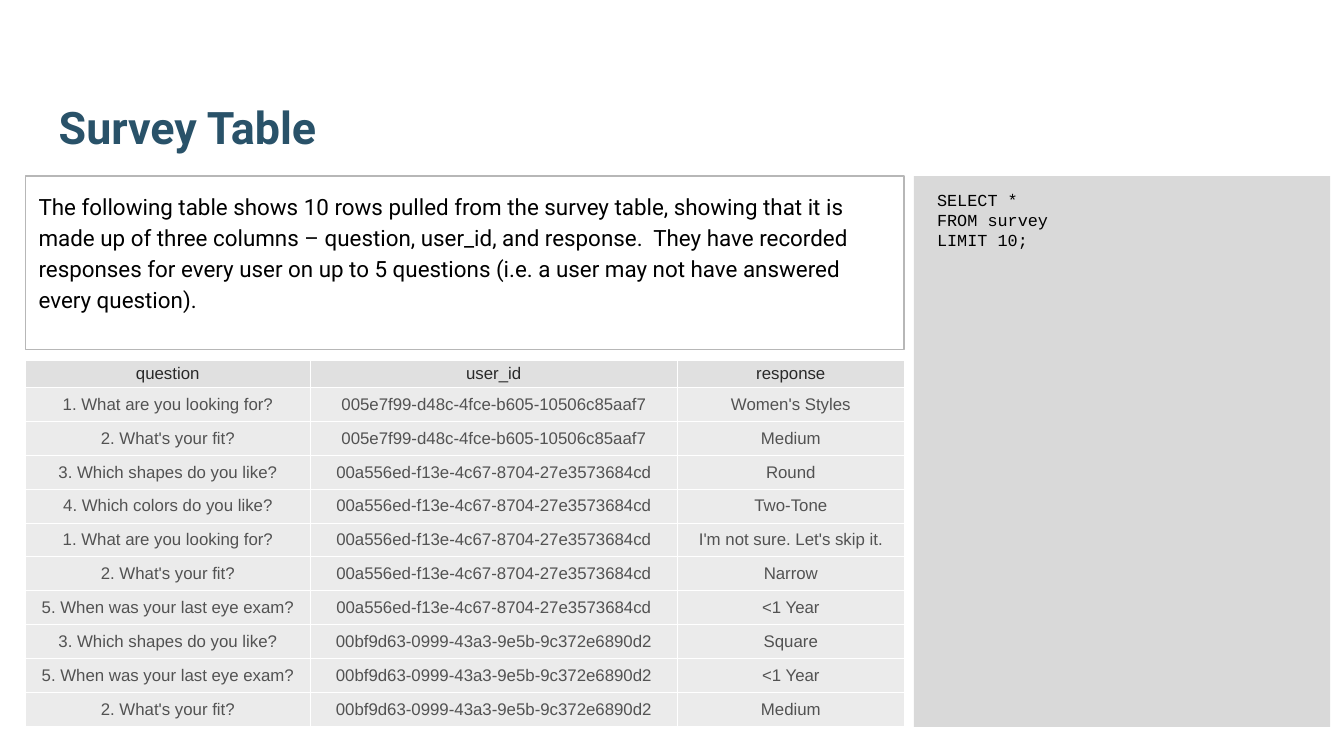
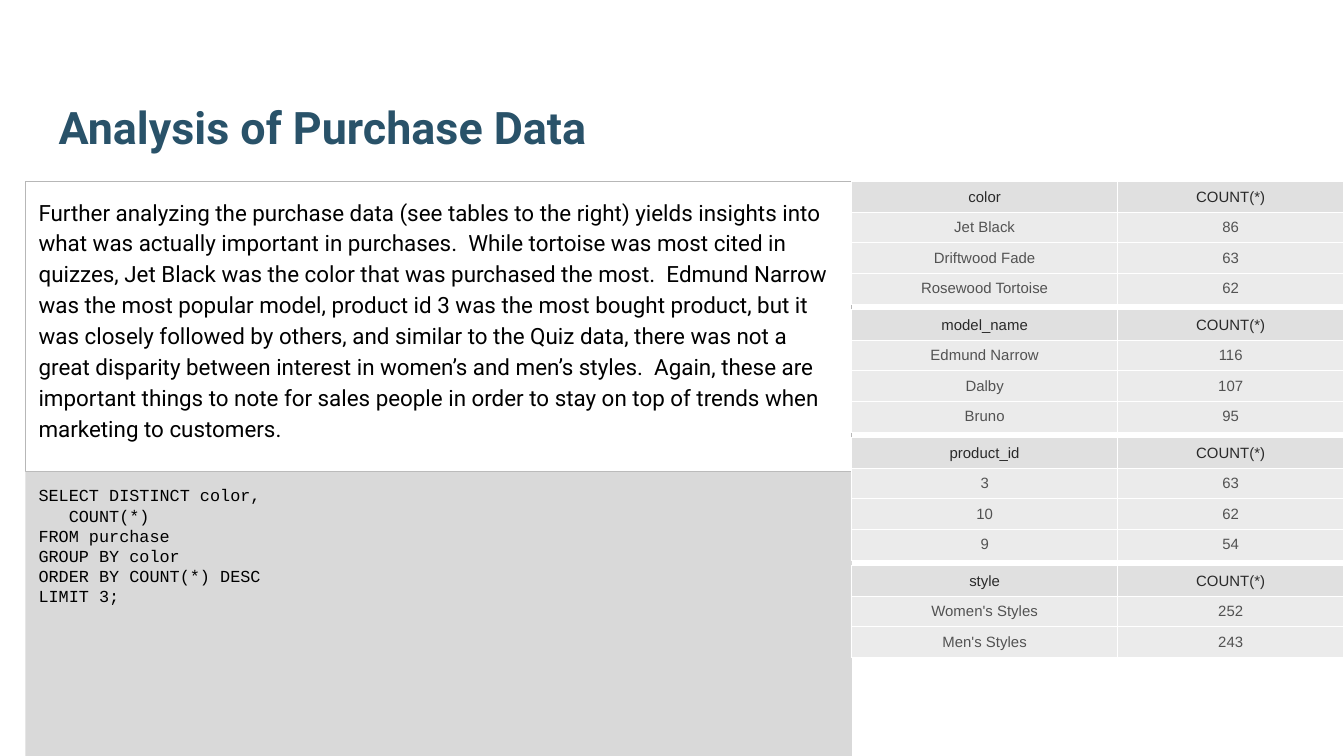
from lxml.etree import SubElement
from pptx import Presentation
from pptx.dml.color import RGBColor
from pptx.enum.shapes import MSO_SHAPE
from pptx.enum.text import MSO_ANCHOR, MSO_AUTO_SIZE, PP_ALIGN
from pptx.oxml.ns import qn
from pptx.util import Cm, Pt

NAVY = RGBColor(0x29, 0x52, 0x69)
BLACK = RGBColor(0, 0, 0)
WHITE = RGBColor(0xFF, 0xFF, 0xFF)
PANEL = RGBColor(0xD9, 0xD9, 0xD9)
EDGE = RGBColor(0xB7, 0xB7, 0xB7)
HEAD = RGBColor(0xE0, 0xE0, 0xE0)
BODY = RGBColor(0xEB, 0xEB, 0xEB)
DARK = RGBColor(0x29, 0x29, 0x29)
GREY = RGBColor(0x52, 0x52, 0x52)

PAD = 0.25
LEFT = 0.48

SURVEY_TEXT = (
    "The following table shows 10 rows pulled from the survey table, showing that it is "
    "made up of three columns – question, user_id, and response.  They have recorded "
    "responses for every user on up to 5 questions (i.e. a user may not have answered "
    "every question)."
)
SURVEY_CODE = " SELECT *\n FROM survey\n LIMIT 10;"
FIT = "2. What's your fit?"
LOOK = "1. What are you looking for?"
SHAPE = "3. Which shapes do you like?"
EXAM = "5. When was your last eye exam?"
USER_A = "005e7f99-d48c-4fce-b605-10506c85aaf7"
USER_B = "00a556ed-f13e-4c67-8704-27e3573684cd"
USER_C = "00bf9d63-0999-43a3-9e5b-9c372e6890d2"
SURVEY_ROWS = [
    ("question", "user_id", "response"),
    (LOOK, USER_A, "Women's Styles"),
    (FIT, USER_A, "Medium"),
    (SHAPE, USER_B, "Round"),
    ("4. Which colors do you like?", USER_B, "Two-Tone"),
    (LOOK, USER_B, "I'm not sure. Let's skip it."),
    (FIT, USER_B, "Narrow"),
    (EXAM, USER_B, "<1 Year"),
    (SHAPE, USER_C, "Square"),
    (EXAM, USER_C, "<1 Year"),
    (FIT, USER_C, "Medium"),
]

BUY_TEXT = (
    "Further analyzing the purchase data (see tables to the right) yields insights into "
    "what was actually important in purchases.  While tortoise was most cited in quizzes, "
    "Jet Black was the color that was purchased the most.  Edmund Narrow was the most "
    "popular model, product id 3 was the most bought product, but it was closely followed "
    "by others, and similar to the Quiz data, there was not a great disparity between "
    "interest in women’s and men’s styles.  Again, these are important things to note for "
    "sales people in order to stay on top of trends when marketing to customers."
)
BUY_CODE = """SELECT DISTINCT color,
   COUNT(*)
FROM purchase
GROUP BY color
ORDER BY COUNT(*) DESC
LIMIT 3;"""
COUNTS = [
    ("color", [("Jet Black", 86), ("Driftwood Fade", 63), ("Rosewood Tortoise", 62)]),
    ("model_name", [("Edmund Narrow", 116), ("Dalby", 107), ("Bruno", 95)]),
    ("product_id", [(3, 63), (10, 62), (9, 54)]),
    ("style", [("Women's Styles", 252), ("Men's Styles", 243)]),
]


def write(frame, text, font="Arial", size=9, color=BLACK, bold=False,
          align=PP_ALIGN.LEFT, space=1.0):
    for n, line in enumerate(text.split("\n")):
        para = frame.paragraphs[0] if n == 0 else frame.add_paragraph()
        para.alignment = align
        para.line_spacing = space
        run = para.add_run()
        run.text = line
        run.font.name = font
        run.font.size = Pt(size)
        run.font.bold = bold
        run.font.color.rgb = color


def inset(frame, anchor):
    frame.word_wrap = True
    frame.auto_size = MSO_AUTO_SIZE.NONE
    frame.vertical_anchor = anchor
    frame.margin_left = frame.margin_right = Cm(PAD)
    frame.margin_top = frame.margin_bottom = Cm(PAD)


def start(deck, text):
    slide = deck.slides.add_slide(deck.slide_layouts[5])
    title = slide.shapes.title
    title.left, title.top, title.width, title.height = map(Cm, (0.86, 0.81, 23.67, 2.34))
    inset(title.text_frame, MSO_ANCHOR.BOTTOM)
    write(title.text_frame, text, font="Roboto", size=24, color=NAVY, bold=True)
    return slide


def panel(slide, box):
    shape = slide.shapes.add_shape(MSO_SHAPE.RECTANGLE, *map(Cm, box))
    shape.shadow.inherit = False
    inset(shape.text_frame, MSO_ANCHOR.TOP)
    return shape


def prose(slide, box, text):
    shape = panel(slide, box)
    shape.fill.background()
    shape.line.color.rgb = EDGE
    shape.line.width = Pt(0.75)
    write(shape.text_frame, text, font="Roboto", size=12, space=1.15)


def code(slide, box, text):
    shape = panel(slide, box)
    shape.fill.solid()
    shape.fill.fore_color.rgb = PANEL
    shape.line.fill.background()
    write(shape.text_frame, text, font="Courier New")


def border(cell):
    props = cell._tc.get_or_add_tcPr()
    for side in ("lnL", "lnR", "lnT", "lnB"):
        line = SubElement(props, qn(f"a:{side}"), w=str(Pt(0.6)))
        fill = SubElement(line, qn("a:solidFill"))
        SubElement(fill, qn("a:srgbClr"), val=str(WHITE))


def grid(slide, left, top, rows, widths, heights, size, pads):
    table = slide.shapes.add_table(
        len(rows), len(widths), Cm(left), Cm(top), Cm(sum(widths)), Cm(sum(heights))
    ).table
    table.first_row = table.horz_banding = False
    for col, width in zip(table.columns, widths):
        col.width = Cm(width)
    for row, height in zip(table.rows, heights):
        row.height = Cm(height)
    for r, row in enumerate(rows):
        for c, value in enumerate(row):
            cell = table.cell(r, c)
            cell.margin_left = cell.margin_right = Cm(pads[0])
            cell.margin_top = cell.margin_bottom = Cm(pads[1])
            cell.vertical_anchor = MSO_ANCHOR.MIDDLE
            border(cell)
            cell.fill.solid()
            cell.fill.fore_color.rgb = BODY if r else HEAD
            write(cell.text_frame, str(value), size=size,
                  color=GREY if r else DARK, align=PP_ALIGN.CENTER)


def survey(deck):
    slide = start(deck, "Survey Table")
    top, wide = 3.33, 16.61
    code(slide, (17.27, top, 7.87, 10.41), SURVEY_CODE)
    prose(slide, (LEFT, top, wide, 3.28), SURVEY_TEXT)
    heights = [0.5] + [0.64] * (len(SURVEY_ROWS) - 1)
    grid(slide, LEFT, 6.81, SURVEY_ROWS, (5.38, 6.94, 4.29), heights, 9, (0.15, 0.08))


def purchase(deck):
    slide = start(deck, "Analysis of Purchase Data")
    top, wide, high = 3.43, 15.62, 5.49
    prose(slide, (LEFT, top, wide, high), BUY_TEXT)
    code(slide, (LEFT, top + high, wide, 5.37), BUY_CODE)
    for n, (name, items) in enumerate(COUNTS):
        rows = [(name, "COUNT(*)")] + items
        grid(slide, LEFT + wide, top + n * 2.42, rows, (5.02, 4.28),
             [0.57] * len(rows), 8, (PAD, 0.13))


def main():
    deck = Presentation()
    deck.slide_width, deck.slide_height = Cm(25.4), Cm(14.29)
    survey(deck)
    purchase(deck)
    deck.save("out.pptx")


if __name__ == "__main__":
    main()
